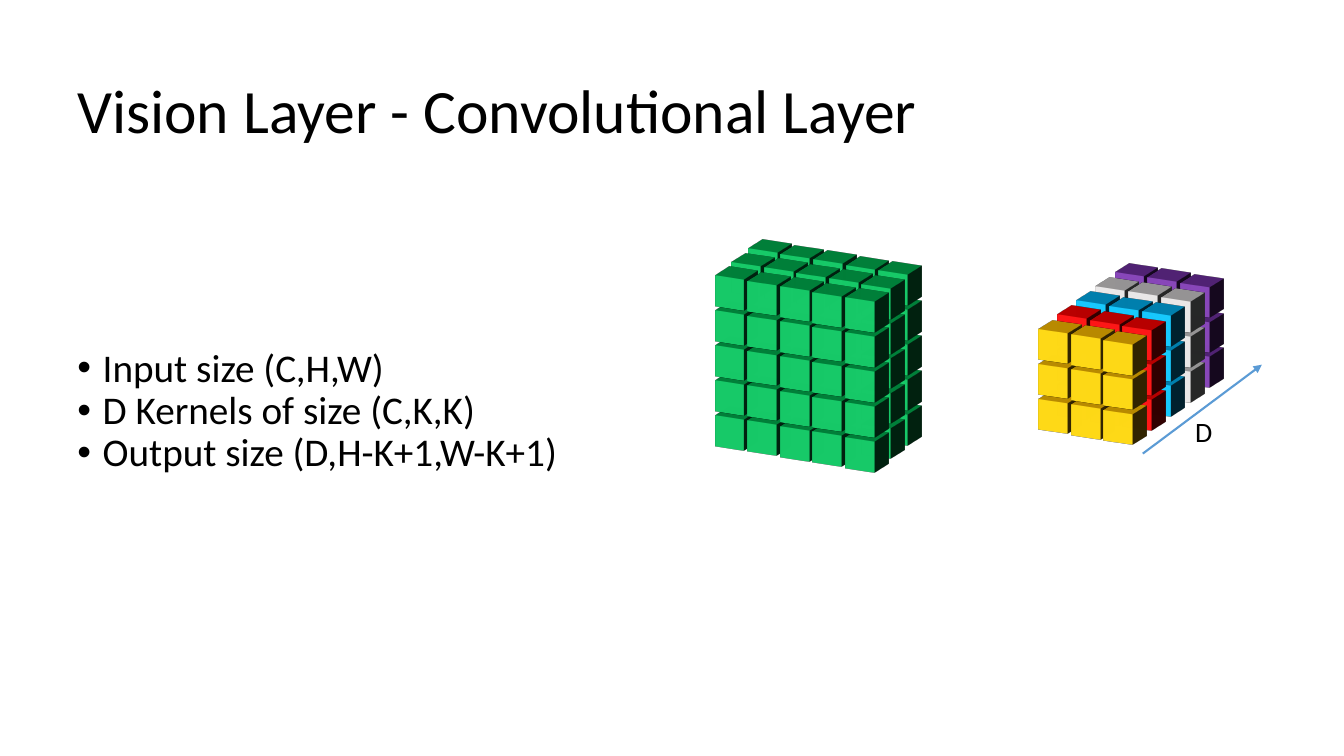
from itertools import product

from pptx import Presentation
from pptx.dml.color import RGBColor
from pptx.enum.shapes import MSO_CONNECTOR as Connector, MSO_SHAPE as Shape
from pptx.enum.text import MSO_ANCHOR as Anchor
from pptx.oxml import parse_xml
from pptx.oxml.ns import nsdecls
from pptx.util import Cm, Pt

FONT = "Calibri"
BLACK = "000000"
CUBE_SIDE = 0.81
COLUMN_STEP, COLUMN_DROP, ROW_STEP = 0.82, 0.14, 0.88
KERNEL_COLORS = ["FFC000", "FF0000", "00B0F0", "D0CECE", "7030A0"]


def color(hex_code):
    """Turn a hex string into a colour."""
    return RGBColor.from_string(hex_code)


def add_xml(parent, markup):
    """Append an element of the drawing namespace to a parent."""
    tag, _, rest = markup.partition(" ")
    parent.append(parse_xml(f"<{tag} {nsdecls('a')} {rest}"))


def add_cube(page, left, top, fill):
    """Add a square extruded into a cube."""
    cube = page.shapes.add_shape(
        Shape.RECTANGLE, Cm(left), Cm(top), Cm(CUBE_SIDE), Cm(CUBE_SIDE))
    cube.shadow.inherit = False
    cube.fill.solid()
    cube.fill.fore_color.rgb = color(fill)
    cube.line.fill.background()
    properties = cube._element.spPr
    add_xml(properties, 'a:scene3d ><a:camera prst="isometricOffAxis2Left"/>'
                        '<a:lightRig rig="threePt" dir="t"/></a:scene3d>')
    add_xml(properties, f'a:sp3d extrusionH="{Cm(CUBE_SIDE)}"/>')


def add_cell(page, left, top, row, column, fill):
    """Add the cube at a row and column of a slanted layer."""
    add_cube(page, left + column * COLUMN_STEP,
             top + column * COLUMN_DROP + row * ROW_STEP, fill)


def add_input_block(page, left, top, size=5, depth=3):
    """Add the visible cubes of the input volume, bottom row first."""
    cells = product(reversed(range(size)), reversed(range(depth)), range(size))
    for row, layer, column in cells:
        if layer == 0 or row == 0 or column == size - 1:
            add_cell(page, left + layer * 0.42, top - layer * 0.34,
                     row, column, "00B050")


def add_kernels(page, left, top, size=3):
    """Add one layer of cubes per kernel, back layer first."""
    for layer, fill in reversed(list(enumerate(KERNEL_COLORS))):
        for row, column in product(reversed(range(size)), range(size)):
            add_cell(page, left + layer * 0.48, top - layer * 0.36,
                     row, column, fill)


def add_text(page, bounds, lines, size, spacing=1.0, bullet=False,
             anchor=Anchor.TOP, wrap=True):
    """Add a text box with one paragraph per line."""
    box = page.shapes.add_textbox(*(Cm(length) for length in bounds))
    frame = box.text_frame
    frame.word_wrap = wrap
    frame.vertical_anchor = anchor
    if wrap:
        frame.margin_top = frame.margin_bottom = Cm(0.25)
    frame.text = "\n".join(lines)
    for para in frame.paragraphs:
        para.line_spacing = spacing
        para.font.name = FONT
        para.font.size = Pt(size)
        para.font.color.rgb = color(BLACK)
        if bullet:
            properties = para._p.get_or_add_pPr()
            properties.set("marL", str(Cm(0.64)))
            properties.set("indent", str(-Cm(0.64)))
            bullet_font = parse_xml(
                f'<a:buFont {nsdecls("a")} typeface="Arial"/>')
            bullet_sign = parse_xml(f'<a:buChar {nsdecls("a")} char="•"/>')
            properties.insert_element_before(
                bullet_font, "a:buChar", "a:tabLst", "a:defRPr", "a:extLst")
            properties.insert_element_before(
                bullet_sign, "a:tabLst", "a:defRPr", "a:extLst")


def add_arrow(page, start, end, line_color):
    """Add a straight line with an arrowhead at its end."""
    arrow = page.shapes.add_connector(
        Connector.STRAIGHT, *(Cm(length) for length in start + end))
    arrow.line.color.rgb = color(line_color)
    arrow.line.width = Pt(1.5)
    add_xml(arrow.line._get_or_add_ln(), 'a:tailEnd type="triangle"/>')
    add_xml(arrow._element.spPr, "a:effectLst />")


def main():
    """Build the convolutional layer slide."""
    deck = Presentation()
    deck.slide_width, deck.slide_height = Cm(33.87), Cm(19.05)
    page = deck.slides.add_slide(deck.slide_layouts[6])
    add_input_block(page, 17.98, 6.98)
    add_text(page, (1.7, 0.76, 30.48, 3.18),
             ["Vision Layer - Convolutional Layer"], 44,
             spacing=0.9, anchor=Anchor.BOTTOM)
    add_kernels(page, 26.14, 8.33)
    add_text(page, (1.7, 8.53, 14.66, 5.26),
             ["Input size (C,H,W)", "D Kernels of size (C,K,K)",
              "Output size (D,H-K+1,W-K+1)"], 28, spacing=0.9, bullet=True)
    add_arrow(page, (28.8, 11.43), (31.8, 9.19), "5B9BD5")
    add_text(page, (29.87, 10.31, 0.84, 1.12), ["D"], 20, wrap=False)
    deck.save("out.pptx")


if __name__ == "__main__":
    main()
